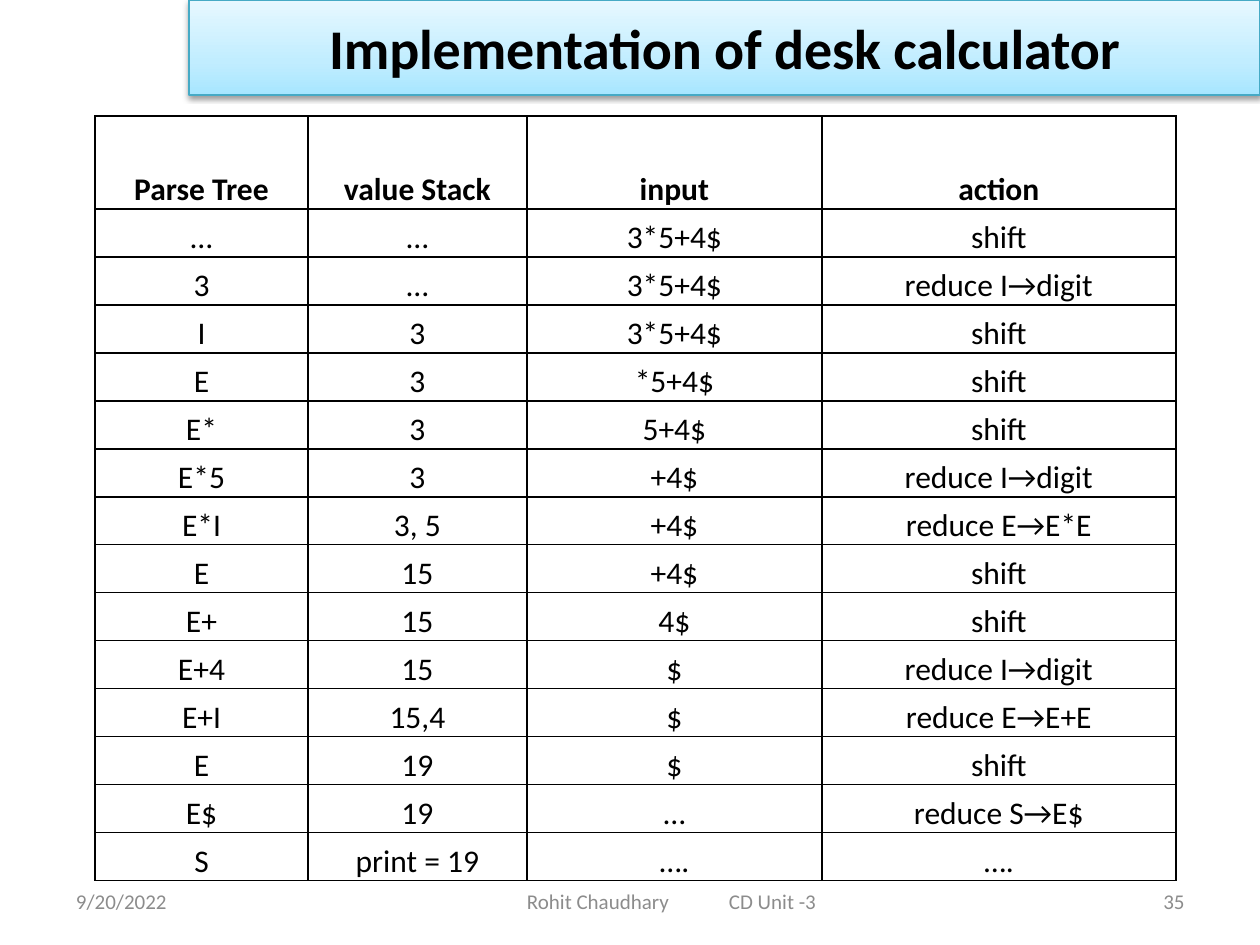
from copy import deepcopy
from typing import NamedTuple

from lxml import etree
from pptx import Presentation
from pptx.dml.color import RGBColor
from pptx.enum.text import MSO_ANCHOR, MSO_AUTO_SIZE, PP_ALIGN
from pptx.oxml.ns import qn
from pptx.util import Pt

LEFT, MID, RIGHT = PP_ALIGN.LEFT, PP_ALIGN.CENTER, PP_ALIGN.RIGHT
CENTER, BOTTOM = MSO_ANCHOR.MIDDLE, MSO_ANCHOR.BOTTOM
NO_FIT = MSO_AUTO_SIZE.NONE

BLACK = RGBColor(0x00, 0x00, 0x00)
GRAY = RGBColor(0x8C, 0x8C, 0x8C)
TEAL = RGBColor(0x46, 0xAA, 0xC5)
SKY = RGBColor(0xA7, 0xE6, 0xFF)
PALE = RGBColor(0xC1, 0xED, 0xFF)
ICE = RGBColor(0xE7, 0xF8, 0xFF)

FONT = "Calibri"
TITLE_ONLY = 5
SCALE = 914400 / 126
COLS = (213, 219, 295, 354)
HEAD, ROW = 93, 48
ROWS = (
    ("Parse Tree", "value Stack", "input", "action"),
    ("…", "…", "3*5+4$", "shift"),
    ("3", "…", "3*5+4$", "reduce I→digit"),
    ("I", "3", "3*5+4$", "shift"),
    ("E", "3", "*5+4$", "shift"),
    ("E*", "3", "5+4$", "shift"),
    ("E*5", "3", "+4$", "reduce I→digit"),
    ("E*I", "3, 5", "+4$", "reduce E→E*E"),
    ("E", "15", "+4$", "shift"),
    ("E+", "15", "4$", "shift"),
    ("E+4", "15", "$", "reduce I→digit"),
    ("E+I", "15,4", "$", "reduce E→E+E"),
    ("E", "19", "$", "shift"),
    ("E$", "19", "…", "reduce S→E$"),
    ("S", "print = 19", "….", "…."),
)


class Note(NamedTuple):
    text: str
    left: int
    width: int
    align: PP_ALIGN
    inset: int = 13
    tab: int = 0


NOTES = (
    Note("9/20/2022", 63, 294, LEFT),
    Note("35", 903, 294, RIGHT),
    Note("Rohit Chaudhary\tCD Unit -3", 431, 483, LEFT, inset=96, tab=202),
)


def px(n: int) -> int:
    return round(n * SCALE)


def write(frame, text: str, *, size: int, color=BLACK, bold=False,
          align=MID, space=None, tab=0):
    """Fill a text frame with one formatted paragraph and return its run."""
    para = frame.paragraphs[0]
    para.alignment = align
    if space:
        para.line_spacing = space
    if tab:
        stops = etree.SubElement(para._p.get_or_add_pPr(), qn("a:tabLst"))
        etree.SubElement(stops, qn("a:tab"), pos=str(px(tab)), algn="l")
    run = para.add_run()
    run.text = text
    font = run.font
    font.name, font.size, font.bold = FONT, Pt(size), bold
    font.color.rgb = color
    return run


def add_title(slide) -> None:
    title = slide.shapes.title
    title.left, title.top = px(189), 0
    title.width, title.height = px(1071), px(95)
    fill = title.fill
    fill.gradient()
    fill.gradient_angle = 90
    props = title._element.spPr
    stops = props.find(".//" + qn("a:gsLst"))
    stops.insert(1, deepcopy(stops[0]))
    for stop, (pos, color) in zip(fill.gradient_stops,
                                  ((0, SKY), (0.35, PALE), (1, ICE))):
        stop.position, stop.color.rgb = pos, color
    title.line.color.rgb = TEAL
    title.line.width = Pt(0.75)
    title.shadow.inherit = False
    shade = etree.SubElement(props.find(qn("a:effectLst")), qn("a:outerShdw"),
                             blurRad="40000", dist="20000", dir="5400000",
                             rotWithShape="0")
    tint = etree.SubElement(shade, qn("a:srgbClr"), val=str(BLACK))
    etree.SubElement(tint, qn("a:alpha"), val="38000")
    frame = title.text_frame
    frame.auto_size, frame.vertical_anchor = NO_FIT, CENTER
    run = write(frame, "Implementation of desk calculator", size=32, bold=True)
    run.font._element.set("spc", "-10")


def add_edges(cell) -> None:
    props = cell._tc.get_or_add_tcPr()
    for i, side in enumerate(("lnL", "lnR", "lnT", "lnB")):
        line = etree.Element(qn("a:" + side), w=str(Pt(1)))
        solid = etree.SubElement(line, qn("a:solidFill"))
        etree.SubElement(solid, qn("a:srgbClr"), val=str(BLACK))
        props.insert(i, line)


def add_grid(slide) -> None:
    high = HEAD + ROW * (len(ROWS) - 1)
    table = slide.shapes.add_table(len(ROWS), len(COLS), px(95), px(116),
                                   px(sum(COLS)), px(high)).table
    table.first_row = table.horz_banding = False
    for col, width in zip(table.columns, COLS):
        col.width = px(width)
    for r, texts in enumerate(ROWS):
        table.rows[r].height = px(ROW if r else HEAD)
        for c, text in enumerate(texts):
            cell = table.cell(r, c)
            cell.fill.background()
            add_edges(cell)
            cell.vertical_anchor = BOTTOM
            cell.margin_left = cell.margin_right = px(9)
            cell.margin_top = cell.margin_bottom = 0
            write(cell.text_frame, text, size=18, bold=r == 0, space=1.15)


def add_note(slide, note: Note) -> None:
    box = slide.shapes.add_textbox(px(note.left), px(876),
                                   px(note.width), px(50))
    frame = box.text_frame
    frame.word_wrap, frame.vertical_anchor = True, CENTER
    frame.margin_left = px(note.inset)
    write(frame, note.text, size=12, color=GRAY, align=note.align,
          tab=note.tab)


def main() -> None:
    deck = Presentation()
    deck.slide_width, deck.slide_height = px(1260), px(945)
    slide = deck.slides.add_slide(deck.slide_layouts[TITLE_ONLY])
    add_grid(slide)
    add_title(slide)
    for note in NOTES:
        add_note(slide, note)
    deck.save("out.pptx")


if __name__ == "__main__":
    main()
